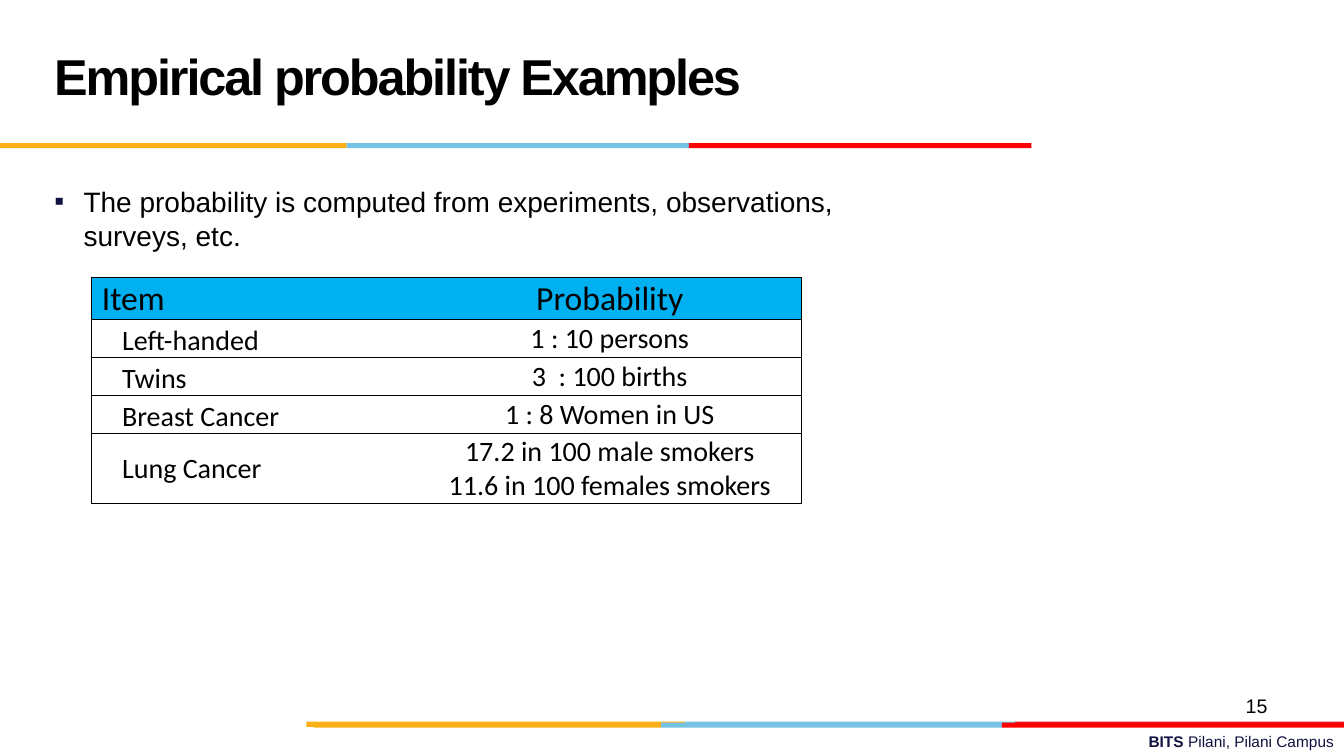
import pptx
import pptx.dml.color
import pptx.enum.shapes
import pptx.enum.text
import pptx.oxml
import pptx.oxml.ns
import pptx.util
from collections import namedtuple

RGB = pptx.dml.color.RGBColor
ALIGN = pptx.enum.text.PP_ALIGN
ANCHOR = pptx.enum.text.MSO_ANCHOR
Pt = pptx.util.Pt
Inches = pptx.util.Inches

BLACK = RGB(0x00, 0x00, 0x00)
NAVY = RGB(0x10, 0x11, 0x41)
AMBER = RGB(0xFC, 0xB0, 0x17)
SKY = RGB(0x76, 0xC2, 0xE5)
RED = RGB(0xFF, 0x00, 0x00)
CRIMSON = RGB(0xE3, 0x1C, 0x24)
HEADER_BLUE = RGB(0x00, 0xB0, 0xF0)

SLIDE_W, SLIDE_H = Inches(13.33), Inches(7.5)
Box = namedtuple("Box", "left top width height")

HEADINGS = ("Item", "Probability")
EXAMPLES = (
    ("Left-handed", ["1 : 10 persons"]),
    ("Twins", ["3  : 100 births"]),
    ("Breast Cancer", ["1 : 8 Women in US"]),
    ("Lung Cancer", ["17.2 in 100 male smokers", "11.6 in 100 females smokers"]),
)
COLUMN_SHARES = (0.46, 0.54)
ROW_SHARES = (0.19, 0.17, 0.17, 0.17, 0.31)


def percent_box(left, top, width, height):
    """Box from percentages of the slide's width and height."""
    return Box(int(SLIDE_W * left / 100), int(SLIDE_H * top / 100),
               int(SLIDE_W * width / 100), int(SLIDE_H * height / 100))


def add_run(paragraph, text, size, color=BLACK, bold=False, font="Arial"):
    run = paragraph.add_run()
    run.text = text
    run.font.name = font
    run.font.size = Pt(size)
    run.font.bold = bold
    run.font.color.rgb = color
    return run


def add_frame(slide, box, anchor=ANCHOR.TOP, align=ALIGN.LEFT):
    frame = slide.shapes.add_textbox(*box).text_frame
    frame.word_wrap = True
    frame.vertical_anchor = anchor
    frame.paragraphs[0].alignment = align
    return frame


def add_strip(slide, top, edges, colors):
    """Row of coloured bars meeting at the given percentages of the width."""
    for start, end, color in zip(edges, edges[1:], colors):
        bar = slide.shapes.add_shape(
            pptx.enum.shapes.MSO_SHAPE.RECTANGLE,
            *percent_box(start, top, end - start, 0.67))
        bar.shadow.inherit = False
        bar.fill.solid()
        bar.fill.fore_color.rgb = color
        bar.line.fill.background()


def add_title(slide, box):
    title = add_frame(slide, box, ANCHOR.MIDDLE).paragraphs[0]
    title.line_spacing = Pt(36)
    run = add_run(title, "Empirical probability Examples", 36, bold=True)
    run.font._element.set("spc", "-150")


def add_statement(slide, box):
    frame = add_frame(slide, box)
    frame.margin_top = Inches(0.08)
    statement = frame.paragraphs[0]
    properties = statement._p.get_or_add_pPr()
    properties.set("marL", str(Inches(0.29)))
    properties.set("indent", str(-Inches(0.29)))
    namespace = pptx.oxml.ns.nsdecls("a")
    for bullet in (f'<a:buClr {namespace}><a:srgbClr val="{NAVY}"/></a:buClr>',
                   f'<a:buFont {namespace} typeface="Arial"/>',
                   f'<a:buChar {namespace} char="▪"/>'):
        properties.append(pptx.oxml.parse_xml(bullet))
    add_run(statement, "The probability is computed from experiments, "
                       "observations, surveys, etc.", 20)


def set_borders(cell, visible):
    """Black one-point lines on the visible sides, none on the others."""
    properties = cell._tc.get_or_add_tcPr()
    for position, side in enumerate("LRTB"):
        paint = (f'<a:solidFill><a:srgbClr val="{BLACK}"/></a:solidFill>'
                 if side in visible else "<a:noFill/>")
        properties.insert(position, pptx.oxml.parse_xml(
            f'<a:ln{side} {pptx.oxml.ns.nsdecls("a")} w="{Pt(1)}">'
            f'{paint}</a:ln{side}>'))


def fill_cell(cell, lines, size, anchor, align, indent):
    cell.margin_left, cell.margin_right = Inches(indent), Inches(0.02)
    cell.margin_top, cell.margin_bottom = Inches(0.01), 0
    cell.vertical_anchor = anchor
    for number, line in enumerate(lines):
        frame = cell.text_frame
        paragraph = frame.add_paragraph() if number else frame.paragraphs[0]
        paragraph.alignment = align
        add_run(paragraph, line, size, font="Calibri")


def add_examples_table(slide, box):
    rows = [(HEADINGS[0], [HEADINGS[1]]), *EXAMPLES]
    table = slide.shapes.add_table(len(rows), 2, *box).table
    table.first_row = table.horz_banding = False
    for column, share in zip(table.columns, COLUMN_SHARES):
        column.width = int(box.width * share)
    for number, (item, odds) in enumerate(rows):
        table.rows[number].height = int(box.height * ROW_SHARES[number])
        item_cell, odds_cell = table.cell(number, 0), table.cell(number, 1)
        header = number == 0
        size = 24 if header else 20
        item_anchor = ANCHOR.MIDDLE if len(odds) > 1 else ANCHOR.BOTTOM
        odds_anchor = ANCHOR.BOTTOM if header else ANCHOR.MIDDLE
        fill_cell(item_cell, [item], size, item_anchor, ALIGN.LEFT,
                  0.1 if header else 0.3)
        fill_cell(odds_cell, odds, size, odds_anchor, ALIGN.CENTER, 0.02)
        for cell, sides in ((item_cell, "LTB"), (odds_cell, "RTB")):
            if header:
                cell.fill.solid()
                cell.fill.fore_color.rgb = HEADER_BLUE
            else:
                cell.fill.background()
            set_borders(cell, sides)


def add_campus(slide, box):
    campus = add_frame(slide, box, align=ALIGN.RIGHT).paragraphs[0]
    add_run(campus, "BITS ", 11, NAVY, bold=True)
    add_run(campus, "Pilani, Pilani Campus", 11, NAVY)


def add_page_number(slide, box):
    number = add_frame(slide, box, align=ALIGN.RIGHT).paragraphs[0]
    add_run(number, "15", 14)


def main():
    deck = pptx.Presentation()
    deck.slide_width, deck.slide_height = SLIDE_W, SLIDE_H
    slide = deck.slides.add_slide(deck.slide_layouts[6])
    add_campus(slide, percent_box(35.86, 96.13, 64.14, 3.87))
    add_strip(slide, 95.47, (22.8, 51, 75.54, 100), (AMBER, SKY, CRIMSON))
    add_strip(slide, 95.6, (23.33, 49.2, 74.55, 100), (AMBER, SKY, RED))
    add_strip(slide, 18.93, (0, 25.8, 51.25, 76.75), (AMBER, SKY, RED))
    add_statement(slide, percent_box(3.3, 23.33, 59.8, 62.67))
    add_title(slide, percent_box(3.3, 2.27, 69.17, 16.67))
    add_examples_table(slide, percent_box(6.83, 36.67, 52.8, 29.6))
    add_page_number(slide, percent_box(71.72, 91.07, 23.33, 6.93))
    deck.save("out.pptx")


if __name__ == "__main__":
    main()
